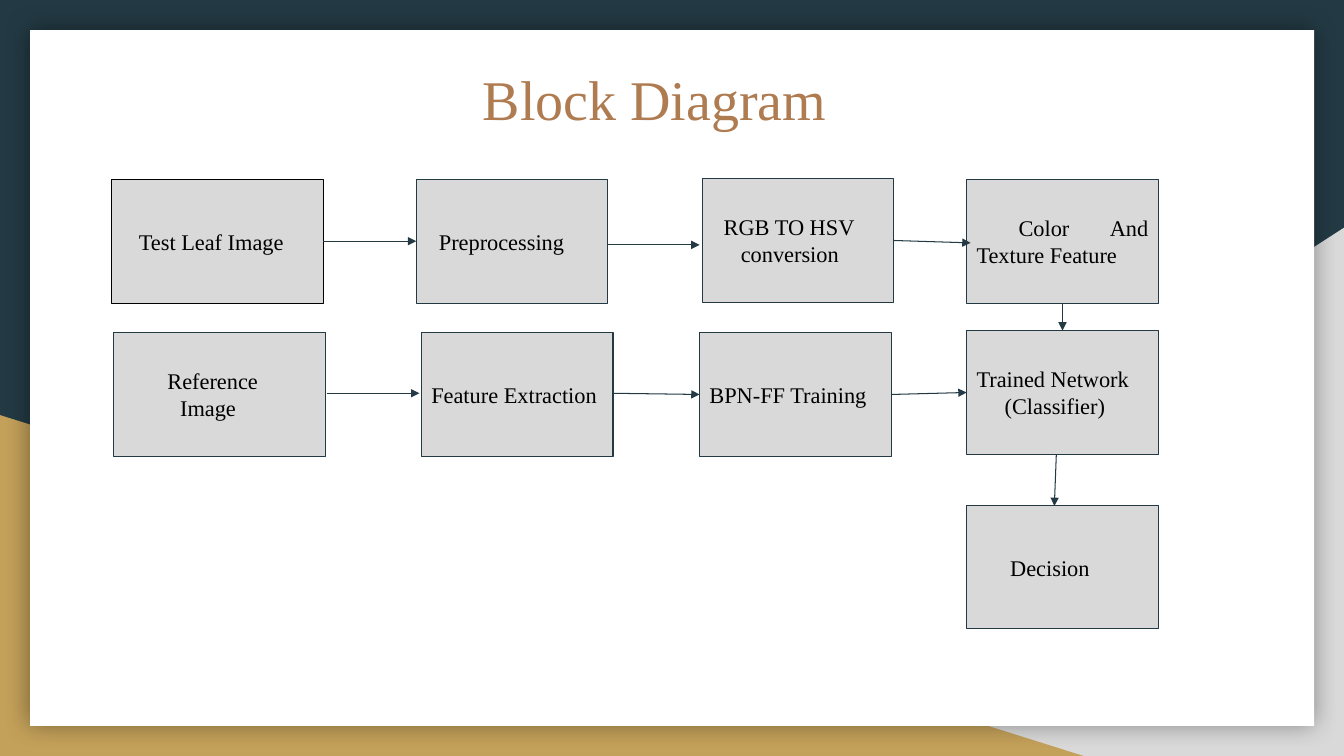
"""Build the Block Diagram slide: a leaf classification pipeline in boxes and arrows."""
import lxml.etree
import pptx
import pptx.dml.color
import pptx.enum.shapes
import pptx.enum.text
import pptx.oxml.ns
import pptx.util

Cm = pptx.util.Cm
Pt = pptx.util.Pt
RGBColor = pptx.dml.color.RGBColor
MSO_SHAPE = pptx.enum.shapes.MSO_SHAPE
PP_ALIGN = pptx.enum.text.PP_ALIGN
qn = pptx.oxml.ns.qn

NAVY = RGBColor(0x23, 0x3A, 0x44)
GREY = RGBColor(0xD9, 0xD9, 0xD9)
GOLD = RGBColor(0xC4, 0xA1, 0x5A)
BROWN = RGBColor(0xAF, 0x7B, 0x51)
WHITE = RGBColor(0xFF, 0xFF, 0xFF)
BLACK = RGBColor(0x00, 0x00, 0x00)
BOX_W, BOX_H = 4.83, 3.12
WIDE_W = 5.33


def add_filled(kind, left, top, width, height, color):
    sp = s.shapes.add_shape(kind, Cm(left), Cm(top), Cm(width), Cm(height))
    sp.shadow.inherit = False
    sp.fill.solid()
    sp.fill.fore_color.rgb = color
    sp.line.fill.background()
    return sp


def write_lines(tf, lines, size, color, inset, anchor):
    frame = {"word_wrap": True, "vertical_anchor": anchor,
             "margin_left": Cm(inset), "margin_right": Cm(inset),
             "margin_top": Cm(inset), "margin_bottom": Cm(inset)}
    for key, value in frame.items():
        setattr(tf, key, value)
    for i, (text, indent, align) in enumerate(lines):
        p = tf.add_paragraph() if i else tf.paragraphs[0]
        p.alignment = align
        p._p.get_or_add_pPr().set("indent", str(Cm(indent)))
        r = p.add_run()
        r.text = text
        for key, value in {"name": "Times New Roman", "size": Pt(size)}.items():
            setattr(r.font, key, value)
        r.font.color.rgb = color


prs = pptx.Presentation()
prs.slide_width, prs.slide_height = Cm(33.87), Cm(19.05)
s = prs.slides.add_slide(prs.slide_layouts[6])
s.background.fill.solid()
s.background.fill.fore_color.rgb = NAVY

right_corner = add_filled(MSO_SHAPE.RIGHT_TRIANGLE, 13.26, 5.74, 20.61, 13.31, GREY)
right_corner._element.spPr.xfrm.set("flipH", "1")
add_filled(MSO_SHAPE.RIGHT_TRIANGLE, 0, 10.46, 27.31, 8.59, GOLD)
card = add_filled(MSO_SHAPE.RECTANGLE, 0.76, 0.76, 32.36, 17.53, WHITE)
effects = card._element.spPr.find(qn("a:effectLst"))
glow = lxml.etree.SubElement(effects, qn("a:outerShdw"), blurRad=str(Pt(18)),
                             dist="0", dir="0", algn="ctr", rotWithShape="0")
shade = lxml.etree.SubElement(glow, qn("a:srgbClr"), val=str(BLACK))
lxml.etree.SubElement(shade, qn("a:alpha"), val="40000")

title = s.shapes.add_textbox(Cm(3.02), Cm(1.3), Cm(27.79), Cm(3.12))
write_lines(title.text_frame, [("Block Diagram", 8.82, PP_ALIGN.LEFT)], 40, BROWN,
            0.33, pptx.enum.text.MSO_ANCHOR.TOP)

LEFT, JUSTIFY = PP_ALIGN.LEFT, PP_ALIGN.JUSTIFY
boxes = {
    "test": (2.82, 4.52, WIDE_W, BLACK, [("Test Leaf Image", 0.43, LEFT)]),
    "preprocessing": (10.49, 4.52, BOX_W, NAVY, [("Preprocessing", 0.32, LEFT)]),
    "hsv": (17.7, 4.5, BOX_W, NAVY,
            [("RGB TO HSV", 0.29, JUSTIFY), ("conversion", 0.72, JUSTIFY)]),
    "color": (24.36, 4.52, BOX_W, NAVY, [("Color And Texture Feature", 1.06, JUSTIFY)]),
    "reference": (2.87, 8.38, WIDE_W, NAVY,
                  [("Reference", 1.1, LEFT), ("Image", 1.42, LEFT)]),
    "extraction": (10.62, 8.38, BOX_W, NAVY, [("Feature Extraction", 0, LEFT)]),
    "training": (17.63, 8.38, BOX_W, NAVY, [("BPN-FF Training", 0, LEFT)]),
    "network": (24.36, 8.33, BOX_W, NAVY,
                [("Trained Network", 0, LEFT), ("(Classifier)", 0.71, LEFT)]),
    "decision": (24.36, 12.73, BOX_W, NAVY, [("Decision", 0.85, JUSTIFY)]),
}
shapes = {}
for name, (left, top, width, outline, lines) in boxes.items():
    sp = add_filled(MSO_SHAPE.RECTANGLE, left, top, width, BOX_H, GREY)
    sp.line.color.rgb = outline
    sp.line.width = Pt(0.75)
    write_lines(sp.text_frame, lines, 16, BLACK, 0.25, pptx.enum.text.MSO_ANCHOR.MIDDLE)
    shapes[name] = sp

TOP, LEFT_SIDE, BOTTOM, RIGHT_SIDE = range(4)
arrows = [
    (("test", RIGHT_SIDE), ("preprocessing", LEFT_SIDE)),
    ((15.31, 6.17), (17.63, 6.17)),
    (("hsv", RIGHT_SIDE), (24.46, 6.12)),
    ((8.23, 9.91), (10.57, 9.91)),
    ((15.44, 9.91), ("training", LEFT_SIDE)),
    (("training", RIGHT_SIDE), ("network", LEFT_SIDE)),
    ((26.62, 11.46), (26.57, 12.75)),
    (("color", BOTTOM), ("network", TOP)),
]
for ends in arrows:
    points = [(0, 0) if end[0] in shapes else end for end in ends]
    cx = s.shapes.add_connector(pptx.enum.shapes.MSO_CONNECTOR.STRAIGHT,
                                *[Cm(v) for point in points for v in point])
    for join, (place, side) in zip((cx.begin_connect, cx.end_connect), ends):
        if place in shapes:
            join(shapes[place], side)
    cx.line.color.rgb = NAVY
    cx.line.width = Pt(0.75)
    lxml.etree.SubElement(cx.line._get_or_add_ln(), qn("a:tailEnd"), type="triangle")
    lxml.etree.SubElement(cx._element.spPr, qn("a:effectLst"))

prs.save("out.pptx")
